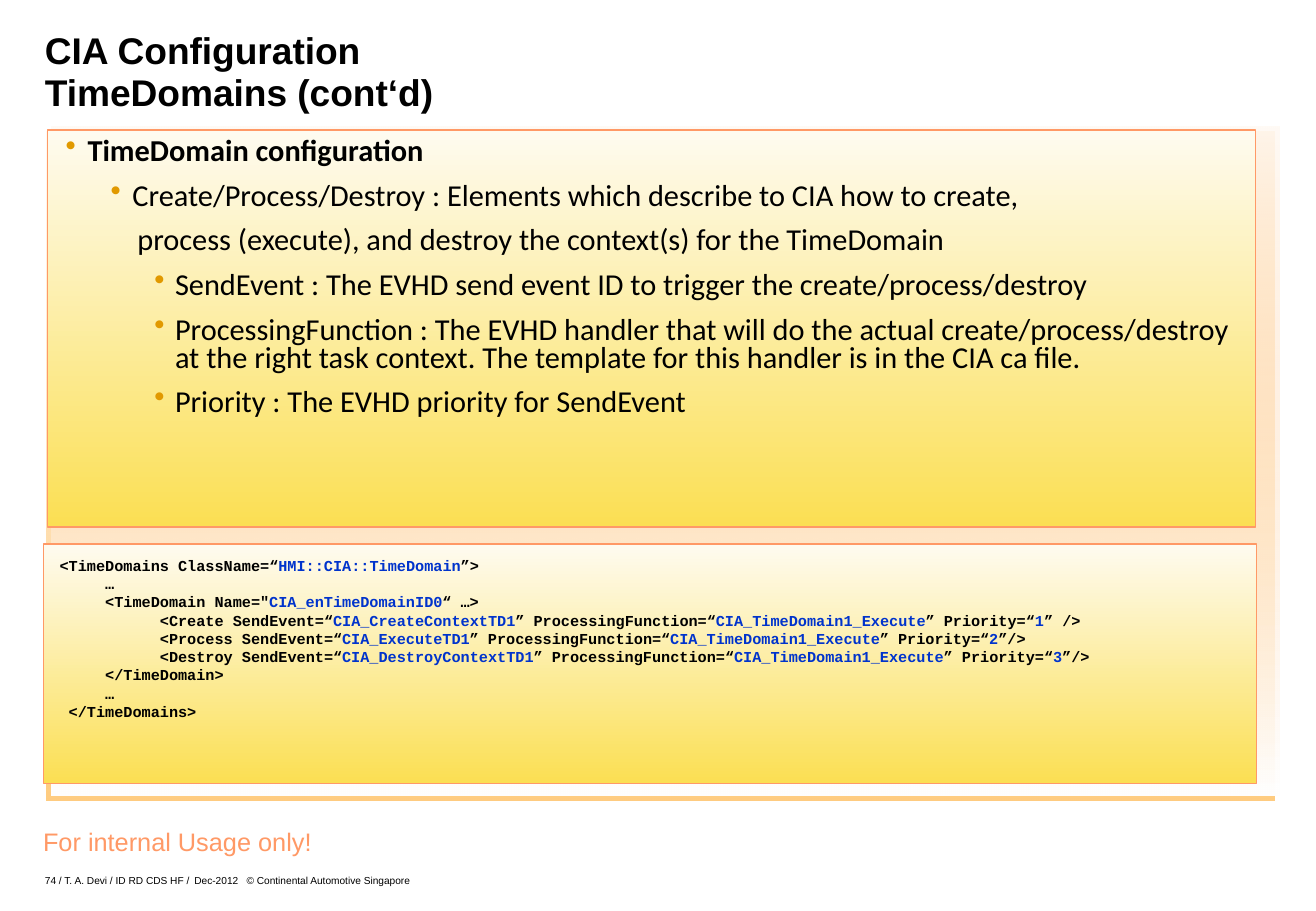
import pptx
import pptx.dml.color
import pptx.enum.shapes
import pptx.enum.text
import pptx.oxml
import pptx.oxml.ns
import pptx.util
from pptx.util import Inches, Pt

RGBColor = pptx.dml.color.RGBColor
BLACK = RGBColor(0x00, 0x00, 0x00)
WHITE = RGBColor(0xFF, 0xFF, 0xFF)
PEACH = RGBColor(0xFF, 0xCC, 0x99)
SALMON = RGBColor(0xFF, 0x99, 0x66)
CREAM = RGBColor(0xFE, 0xFB, 0xF0)
YELLOW = RGBColor(0xFB, 0xDF, 0x53)
VALUE_BLUE = RGBColor(0x00, 0x33, 0xCC)
BULLET_GOLD = RGBColor(0xE1, 0x99, 0x00)
SHADOW_ORANGE = RGBColor(0xFF, 0x99, 0x00)

ANCHOR = pptx.enum.text.MSO_ANCHOR
# Left margin and hanging indent in inches, by level
LEVEL_INDENTS = [(0.18, -0.18), (0.55, -0.18), (0.9, -0.17)]
CONTINUATION_MARGIN = 0.59

TOPICS = [
    (0, True, "TimeDomain configuration"),
    (1, True, "Create/Process/Destroy : Elements which describe to CIA how to create,"),
    (1, False, "process (execute), and destroy the context(s) for the TimeDomain"),
    (2, True, "SendEvent : The EVHD send event ID to trigger the create/process/destroy"),
    (2, True, "ProcessingFunction : The EVHD handler that will do the actual "
              "create/process/destroy at the right task context. The template for "
              "this handler is in the CIA ca file."),
    (2, True, "Priority : The EVHD priority for SendEvent"),
]

# Values to show in blue stand between bars
ACTIONS = [
    ("Create", "CIA_CreateContextTD1", "1", " />"),
    ("Process", "CIA_ExecuteTD1", "2", "/>"),
    ("Destroy", "CIA_DestroyContextTD1", "3", "/>"),
]
CODE = [
    "<TimeDomains ClassName=“|HMI::CIA::TimeDomain|”>",
    "     …",
    "     <TimeDomain Name=\"|CIA_enTimeDomainID0|“ …>",
    *(f"           <{action} SendEvent=“|{event}|” ProcessingFunction=“"
      f"|CIA_TimeDomain1_Execute|” Priority=“|{priority}|”{end}"
      for action, event, priority, end in ACTIONS),
    "     </TimeDomain>",
    "     …",
    " </TimeDomains>",
]


def parse_drawing(tag, content):
    namespace = pptx.oxml.ns.nsdecls("a")
    return pptx.oxml.parse_xml(f"<a:{tag} {namespace}>{content}</a:{tag}>")


def set_font(font, name, size, color=BLACK, bold=False):
    font.name, font.size, font.bold = name, Pt(size), bold
    font.color.rgb = color


def add_panel(page, left, top, width, height, top_color, bottom_color, line_color=None):
    """Add a rectangle that shades from top to bottom."""
    panel = page.shapes.add_shape(
        pptx.enum.shapes.MSO_SHAPE.RECTANGLE,
        Inches(left), Inches(top), Inches(width), Inches(height))
    panel.shadow.inherit = False
    panel.fill.gradient()
    panel.fill.gradient_angle = 270
    for stop, color in zip(panel.fill.gradient_stops, (top_color, bottom_color)):
        stop.color.rgb = color
    if line_color is None:
        panel.line.fill.background()
    else:
        panel.line.color.rgb = line_color
        panel.line.width = Pt(0.75)
    return panel


def add_text_frame(page, left, top, width, height, anchor=ANCHOR.TOP, insets=(0, 0)):
    box = page.shapes.add_textbox(Inches(left), Inches(top), Inches(width), Inches(height))
    frame = box.text_frame
    frame.word_wrap = True
    frame.vertical_anchor = anchor
    frame.margin_left = frame.margin_right = Inches(insets[0])
    frame.margin_top = frame.margin_bottom = Inches(insets[1])
    return frame


def add_paragraphs(frame, count):
    return [frame.paragraphs[0]] + [frame.add_paragraph() for _ in range(count - 1)]


def add_backdrop(page, left, top, width, height):
    """Add the fading panel with its offset shadow."""
    panel = add_panel(page, left, top, width, height, PEACH, WHITE)
    properties = panel._element.spPr
    properties.xpath(".//a:gs[1]/a:srgbClr")[0].append(
        pptx.oxml.parse_xml(f'<a:alpha {pptx.oxml.ns.nsdecls("a")} val="10000"/>'))
    properties.xpath("./a:effectLst")[0].append(parse_drawing(
        "outerShdw", f'<a:srgbClr val="{SHADOW_ORANGE}"><a:alpha val="50000"/></a:srgbClr>'))
    shadow = properties.xpath("./a:effectLst/a:outerShdw")[0]
    for name, value in (("dist", Pt(4.2)), ("dir", 135 * 60000),
                        ("algn", "ctr"), ("rotWithShape", 0)):
        shadow.set(name, str(value))


def add_title(page, left, top, width, height):
    para = add_text_frame(page, left, top, width, height, ANCHOR.BOTTOM).paragraphs[0]
    para.text = "CIA Configuration\vTimeDomains (cont‘d)"
    para.line_spacing = Pt(24.8)
    set_font(para.font, "Arial", 22, bold=True)


def add_topics(page, left, top, width, height):
    add_panel(page, left, top, width, height, CREAM, YELLOW, SALMON)
    frame = add_text_frame(page, left + 0.15, top + 0.08, width - 0.25, height - 0.17)
    for para, (level, bulleted, text) in zip(add_paragraphs(frame, len(TOPICS)), TOPICS):
        para.text = text
        para.level = level
        para.line_spacing = Pt(16.5)
        para.space_after = Pt(10)
        margin, indent = LEVEL_INDENTS[level] if bulleted else (CONTINUATION_MARGIN, 0)
        properties = para._p.get_or_add_pPr()
        properties.set("marL", str(Inches(margin)))
        properties.set("indent", str(Inches(indent)))
        if bulleted:
            properties.append(parse_drawing("buClr", f'<a:srgbClr val="{BULLET_GOLD}"/>'))
            bullet = parse_drawing("buChar", "")
            bullet.set("char", "•")
            properties.append(bullet)
        set_font(para.font, "Calibri", 18, bold=level == 0)


def add_code(page, left, top, width, height):
    add_panel(page, left, top, width, height, CREAM, YELLOW, SALMON)
    frame = add_text_frame(page, left + 0.04, top + 0.05, 9.55, 1.47, insets=(0.09, 0.05))
    for para, line in zip(add_paragraphs(frame, len(CODE)), CODE):
        set_font(para.font, "Courier New", 9, bold=True)
        for index, text in enumerate(line.split("|")):
            span = para.add_run()
            span.text = text
            span.font.color.rgb = VALUE_BLUE if index % 2 else BLACK


def add_usage_note(page, left, top, width, height):
    frame = add_text_frame(page, left, top, width, height, insets=(0.1, 0.05))
    frame.word_wrap = False
    para = frame.paragraphs[0]
    para.text = "For internal Usage only!"
    para.alignment = pptx.enum.text.PP_ALIGN.CENTER
    set_font(para.font, "Arial", 15, SALMON)


def add_footer(page, left, top, width, height):
    para = add_text_frame(page, left, top, width, height, ANCHOR.BOTTOM).paragraphs[0]
    para.text = "74 / T. A. Devi / ID RD CDS HF /\tDec-2012\t© Continental Automotive Singapore"
    para.line_spacing = Pt(5.5)
    stops = "".join(f'<a:tab pos="{Inches(position)}" algn="l"/>' for position in (1.23, 1.66))
    para._p.get_or_add_pPr().append(parse_drawing("tabLst", stops))
    set_font(para.font, "Arial", 6)


def main():
    deck = pptx.Presentation()
    deck.slide_width, deck.slide_height = Inches(10.83), Inches(7.5)
    page = deck.slides.add_slide(deck.slide_layouts[6])
    add_backdrop(page, 0.42, 1.04, 10.11, 5.51)
    add_usage_note(page, 0.25, 6.75, 2.42, 0.35)
    add_code(page, 0.36, 4.48, 9.98, 1.97)
    add_title(page, 0.37, 0.25, 10.1, 0.69)
    add_topics(page, 0.39, 1.07, 9.94, 3.27)
    add_footer(page, 0.37, 7.14, 3.43, 0.16)
    deck.save("out.pptx")


if __name__ == "__main__":
    main()
